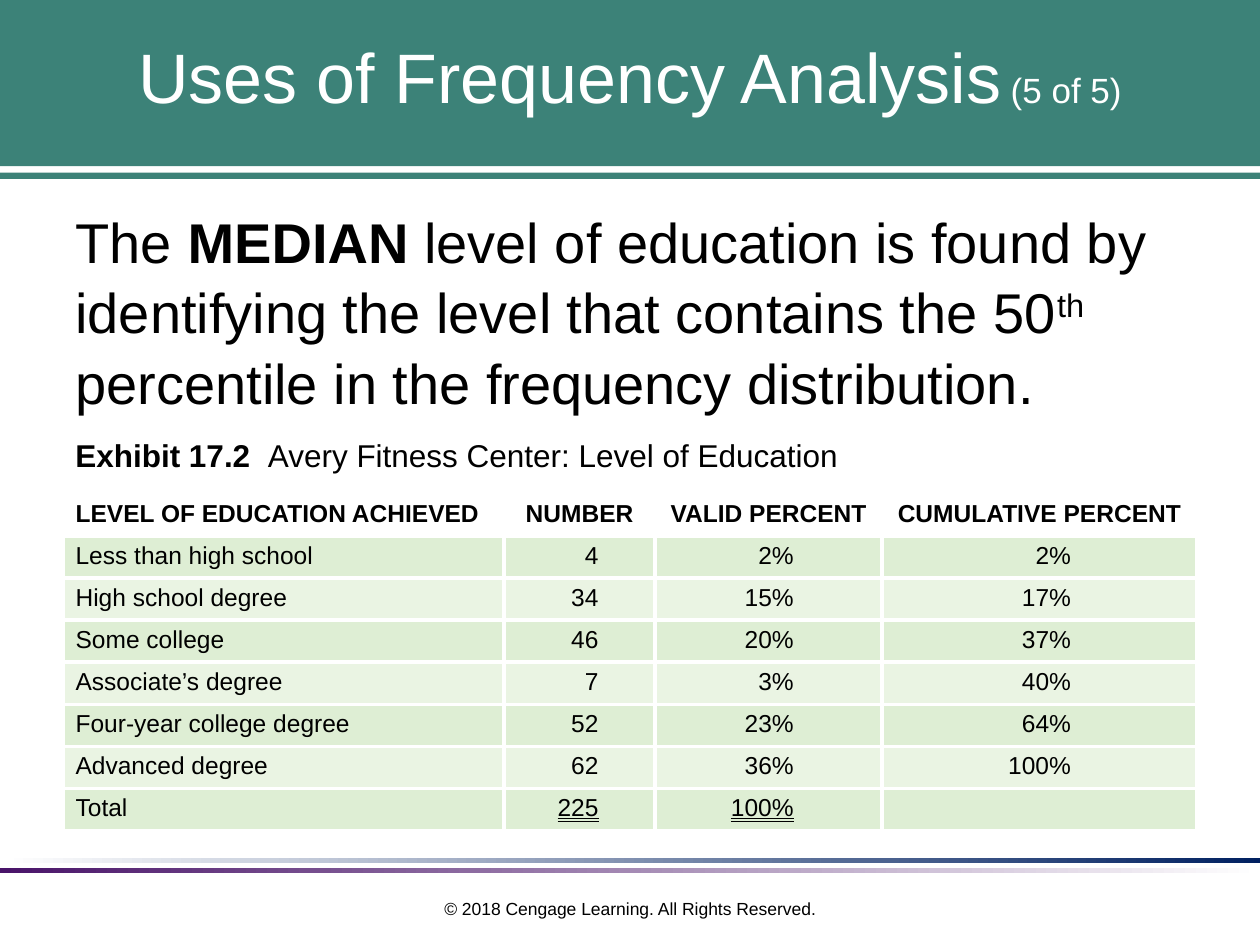
from dataclasses import dataclass

from lxml import etree
from pptx import Presentation
from pptx.dml.color import RGBColor
from pptx.enum.shapes import MSO_SHAPE as Shape
from pptx.enum.text import MSO_ANCHOR as Anchor, MSO_UNDERLINE as Underline, PP_ALIGN as Align
from pptx.oxml.ns import qn
from pptx.util import Pt

FONT = "Arial"
BLACK, WHITE, TEAL = "000000", "FFFFFF", "3C8278"
BANDS = ("EAF4E3", "DEEED4")


@dataclass
class Bar:
    left: float
    top: float
    width: float
    height: float
    colors: tuple[str, ...]  # two colours make a left-to-right gradient


@dataclass
class Column:
    header: str
    width: float
    align: Align
    right_inset: float = 7.2


BARS = [
    Bar(0, -2.88, 720, 97.92, (TEAL,)),
    Bar(0, 496.08, 720, 2.88, ("491469", WHITE)),
    Bar(2.16, 490.32, 720, 2.88, (WHITE, "002060")),
    Bar(0, 98.64, 720, 3.6, (TEAL,)),
]

COLUMNS = [
    Column("LEVEL OF EDUCATION ACHIEVED", 252, Align.LEFT),
    Column("NUMBER", 86.4, Align.RIGHT, 32.4),
    Column("VALID PERCENT", 129.6, Align.RIGHT, 50.4),
    Column("CUMULATIVE PERCENT", 180, Align.RIGHT, 72),
]

ROWS = [
    ("Less than high school", "4", "2%", "2%"),
    ("High school degree", "34", "15%", "17%"),
    ("Some college", "46", "20%", "37%"),
    ("Associate’s degree", "7", "3%", "40%"),
    ("Four-year college degree", "52", "23%", "64%"),
    ("Advanced degree", "62", "36%", "100%"),
    ("Total", "225", "100%", ""),
]


def rgb(color: str) -> RGBColor:
    return RGBColor.from_string(color)


def add_run(p, text: str, *, size: float, color: str = BLACK, bold: bool = False,
            underline=None, raised: bool = False) -> None:
    r = p.add_run()
    r.text = text
    r.font.name, r.font.size, r.font.bold = FONT, Pt(size), bold
    r.font.color.rgb = rgb(color)
    if underline:
        r.font.underline = underline
    if raised:
        r._r.get_or_add_rPr().set("baseline", "30000")


def add_text(s, left: float, top: float, width: float, height: float, *,
             align=Align.LEFT, anchor=Anchor.TOP, spacing: float = 1.0):
    """Add a wrapping text box and return its first paragraph."""
    tf = s.shapes.add_textbox(Pt(left), Pt(top), Pt(width), Pt(height)).text_frame
    tf.word_wrap, tf.vertical_anchor = True, anchor
    p = tf.paragraphs[0]
    p.alignment, p.line_spacing = align, spacing
    return p


def add_tab_stop(p, position: float) -> None:
    tabs = etree.SubElement(p._p.get_or_add_pPr(), qn("a:tabLst"))
    etree.SubElement(tabs, qn("a:tab"), pos=str(Pt(position)), algn="l")


def add_bar(s, bar: Bar) -> None:
    sp = s.shapes.add_shape(Shape.RECTANGLE, Pt(bar.left), Pt(bar.top),
                            Pt(bar.width), Pt(bar.height))
    sp.shadow.inherit = False
    sp.line.fill.background()
    if len(bar.colors) == 1:
        sp.fill.solid()
        sp.fill.fore_color.rgb = rgb(bar.colors[0])
    else:
        sp.fill.gradient()
        sp.fill.gradient_angle = 0
        for stop, color in zip(sp.fill.gradient_stops, bar.colors):
            stop.color.rgb = rgb(color)


def style_cell(cell, fill: str) -> None:
    tc_pr = cell._tc.get_or_add_tcPr()
    for side in ("a:lnL", "a:lnR", "a:lnT", "a:lnB"):
        line = etree.SubElement(tc_pr, qn(side), w=str(Pt(2.25)))
        solid = etree.SubElement(line, qn("a:solidFill"))
        etree.SubElement(solid, qn("a:srgbClr"), val=WHITE)
    cell.fill.solid()
    cell.fill.fore_color.rgb = rgb(fill)


def add_education_table(s, left: float, top: float, row_height: float, size: float) -> None:
    rows = [tuple(c.header for c in COLUMNS), *ROWS]
    table = s.shapes.add_table(len(rows), len(COLUMNS), Pt(left), Pt(top),
                               Pt(sum(c.width for c in COLUMNS)),
                               Pt(row_height * len(rows))).table
    for i, column in enumerate(COLUMNS):
        table.columns[i].width = Pt(column.width)
    for j, row in enumerate(rows):
        table.rows[j].height = Pt(row_height)
        header, total = j == 0, j == len(rows) - 1
        for i, (column, text) in enumerate(zip(COLUMNS, row)):
            cell = table.cell(j, i)
            style_cell(cell, WHITE if header else BANDS[j % 2])
            p = cell.text_frame.paragraphs[0]
            p.alignment = Align.CENTER if header and i else column.align
            if not header:
                cell.margin_right = Pt(column.right_inset)
            if text:
                add_run(p, text, size=size, bold=header,
                        underline=Underline.DOUBLE_LINE if total and i else None)
            else:
                # Keeps the empty cell from growing its row
                etree.SubElement(p._p, qn("a:endParaRPr"), sz=str(int(size * 100)))


def main() -> None:
    prs = Presentation()
    prs.slide_width, prs.slide_height = Pt(720), Pt(540)
    s = prs.slides.add_slide(prs.slide_layouts[6])

    # Header band and rules
    for bar in BARS:
        add_bar(s, bar)

    # Footer
    p = add_text(s, 244.8, 509.76, 230.4, 21.6, align=Align.CENTER)
    add_run(p, "© 2018 Cengage Learning. All Rights Reserved.", size=10)

    # Title
    p = add_text(s, 18, 0, 684, 86.4, align=Align.CENTER, anchor=Anchor.MIDDLE)
    add_run(p, "Uses of Frequency Analysis", size=40, color=WHITE)
    add_run(p, " (5 of 5)", size=20, color=WHITE)

    # Statement
    p = add_text(s, 36, 113.04, 648, 120.96, spacing=1.05)
    add_run(p, "The ", size=32)
    add_run(p, "MEDIAN", size=32, bold=True)
    add_run(p, " level of education is found by identifying the level that contains the 50",
            size=32)
    add_run(p, "th", size=32, raised=True)
    add_run(p, " percentile in the frequency distribution.", size=32)

    # Exhibit caption and table
    p = add_text(s, 36, 244.8, 648, 37.44, spacing=1.05)
    add_tab_stop(p, 110)
    add_run(p, "Exhibit 17.2\t", size=18, bold=True)
    add_run(p, "Avery Fitness Center: Level of Education", size=18)
    add_education_table(s, 36, 282.24, 21.6, 14)

    prs.save("out.pptx")


if __name__ == "__main__":
    main()
